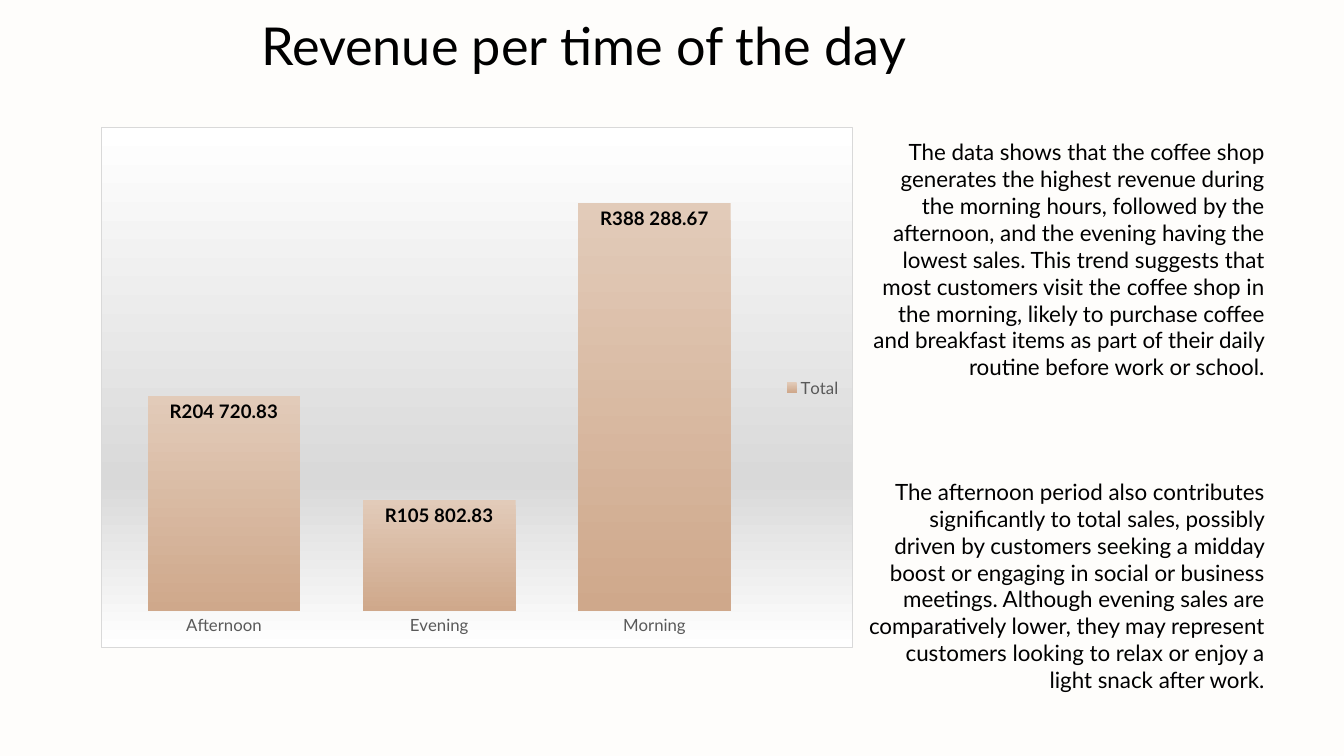
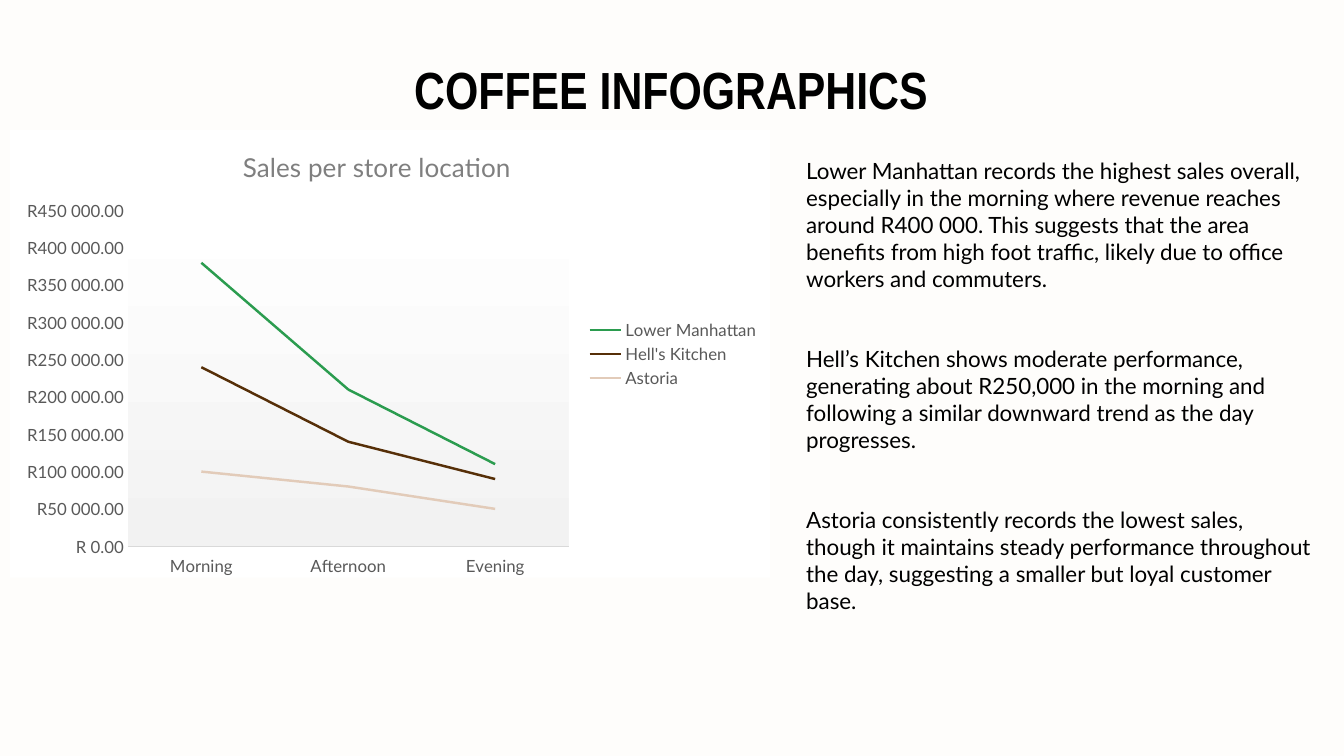
"""Build two coffee sales slides, each with a title, a chart and notes on it."""
from dataclasses import dataclass

from lxml import etree
from pptx import Presentation
from pptx.chart.chart import Chart
from pptx.chart.data import CategoryChartData
from pptx.dml.color import RGBColor
from pptx.enum.chart import (XL_CHART_TYPE, XL_LABEL_POSITION, XL_LEGEND_POSITION,
                             XL_MARKER_STYLE, XL_TICK_LABEL_POSITION, XL_TICK_MARK)
from pptx.enum.text import PP_ALIGN
from pptx.presentation import Presentation as Deck
from pptx.slide import Slide
from pptx.util import Pt

COLUMN, LINE = XL_CHART_TYPE.COLUMN_CLUSTERED, XL_CHART_TYPE.LINE_STACKED
LEFT, CENTER, RIGHT = PP_ALIGN.LEFT, PP_ALIGN.CENTER, PP_ALIGN.RIGHT
SIDE = XL_LEGEND_POSITION.RIGHT
INSIDE = XL_LABEL_POSITION.INSIDE_END
NO_TICK, NO_MARK = XL_TICK_MARK.NONE, XL_MARKER_STYLE.NONE
LOW = XL_TICK_LABEL_POSITION.LOW
C = "http://schemas.openxmlformats.org/drawingml/2006/chart"
A = "http://schemas.openxmlformats.org/drawingml/2006/main"
MONEY = '"R"#\\ ##0.00'


@dataclass(frozen=True)
class Theme:
    back: str = "FEFDFB"
    ink: str = "000000"
    gray: str = "595959"
    soft: str = "7F7F7F"
    rule: str = "D9D9D9"
    white: str = "FFFFFF"
    pale: str = "F2F2F2"
    cream: str = "E2CBB9"
    tan: str = "CFA88B"
    brown: str = "562F08"
    green: str = "2B9C4F"
    face: str = "Lato"
    narrow: str = "Arial Narrow"
    title: float = 37.3
    head: float = 18.6
    body: float = 16
    label: float = 13.3
    axis: float = 12


T = Theme()


@dataclass(frozen=True)
class Box:
    x: float
    y: float
    w: float
    h: float


@dataclass(frozen=True)
class Note:
    text: str
    box: Box
    align: PP_ALIGN = LEFT
    size: float = T.body
    face: str = T.face
    bold: bool = False
    pad: tuple[float, float] = (9.6, 9.6)
    gap: float = 0


@dataclass(frozen=True)
class Plot:
    kind: XL_CHART_TYPE
    box: Box
    inner: Box
    cats: tuple[str, ...]
    rows: dict[str, tuple[float, ...]]


def paint(font, size: float, color: str, bold: bool = False, face: str = T.face) -> None:
    font.size, font.bold, font.name = Pt(size), bold, face
    font.color.rgb = RGBColor.from_string(color)


def solid(color: str) -> str:
    return f'<a:solidFill><a:srgbClr val="{color}"/></a:solidFill>'


def fade(*stops: tuple[int, str]) -> str:
    marks = "".join(f'<a:gs pos="{at * 1000}"><a:srgbClr val="{color}"/></a:gs>'
                    for at, color in stops)
    return f'<a:gradFill><a:gsLst>{marks}</a:gsLst><a:lin ang="5400000" scaled="0"/></a:gradFill>'


def style(fill: str, edge: str = "") -> etree._Element:
    line = f'<a:ln w="9525">{solid(edge)}</a:ln>' if edge else "<a:ln><a:noFill/></a:ln>"
    return etree.fromstring(f'<c:spPr xmlns:c="{C}" xmlns:a="{A}">{fill}{line}</c:spPr>')


def place(x: float, y: float, w: float = 0, h: float = 0) -> etree._Element:
    inner = '<c:layoutTarget val="inner"/>' if w else ""
    modes = '<c:xMode val="edge"/><c:yMode val="edge"/>'
    sizes = f'<c:w val="{w}"/><c:h val="{h}"/>' if w else ""
    return etree.fromstring(
        f'<c:layout xmlns:c="{C}"><c:manualLayout>{inner}{modes}'
        f'<c:x val="{x}"/><c:y val="{y}"/>{sizes}</c:manualLayout></c:layout>')


def clear(node: etree._Element) -> None:
    for old in node.findall(f"{{{C}}}layout"):
        node.remove(old)


def add_note(slide: Slide, note: Note) -> None:
    b = note.box
    frame = slide.shapes.add_textbox(Pt(b.x), Pt(b.y), Pt(b.w), Pt(b.h)).text_frame
    frame.word_wrap = True
    frame.margin_left = frame.margin_right = Pt(note.pad[0])
    frame.margin_top = frame.margin_bottom = Pt(note.pad[1])
    frame.text = note.text
    for i, para in enumerate(frame.paragraphs):
        para.alignment = note.align
        if i:
            para.space_before = Pt(note.gap)
        for run in para.runs:
            paint(run.font, note.size, T.ink, note.bold, note.face)


def add_plot(slide: Slide, plot: Plot) -> Chart:
    data = CategoryChartData(number_format=MONEY)
    data.categories = plot.cats
    for name, vals in plot.rows.items():
        data.add_series(name, vals)
    b, p = plot.box, plot.inner
    chart = slide.shapes.add_chart(plot.kind, Pt(b.x), Pt(b.y), Pt(b.w), Pt(b.h), data).chart
    paint(chart.font, T.axis, T.gray)
    chart.has_title = False
    chart.has_legend = True
    chart.legend.position = SIDE
    chart.legend.include_in_layout = False
    paint(chart.legend.font, T.axis, T.gray)
    for axis in (chart.category_axis, chart.value_axis):
        axis.has_major_gridlines = False
        axis.major_tick_mark = axis.minor_tick_mark = NO_TICK
        axis.format.line.fill.background()
        paint(axis.tick_labels.font, T.axis, T.gray)
    scale = chart.value_axis
    scale.minimum_scale, scale.maximum_scale, scale.major_unit = 0, 450000, 50000
    scale.tick_labels.number_format = MONEY
    scale.tick_labels.number_format_is_linked = False
    area = chart._chartSpace.chart.plotArea
    clear(area)
    area.insert(0, place(p.x, p.y, p.w, p.h))
    return chart


def add_bars(slide: Slide, plot: Plot) -> None:
    chart = add_plot(slide, plot)
    chart.value_axis.visible = False
    bars = chart.plots[0]
    bars.gap_width, bars.vary_by_categories = 41, False
    total = bars.series[0]
    total._element.get_or_add_spPr().append(style(fade((0, T.cream), (100, T.tan)))[0])
    bars.has_data_labels = True
    labels = bars.data_labels
    labels.show_value, labels.position = True, INSIDE
    labels.number_format, labels.number_format_is_linked = MONEY, False
    paint(labels.font, T.label, T.ink, True)
    fill = fade((0, T.white), (68, T.rule), (100, T.white))
    chart._chartSpace.chart.addnext(style(fill, T.rule))


def add_lines(slide: Slide, plot: Plot, title: str) -> None:
    chart = add_plot(slide, plot)
    chart.has_title = True
    frame = chart.chart_title.text_frame
    frame.text = title
    paint(frame.paragraphs[0].runs[0].font, T.head, T.soft)
    head = chart.chart_title._element
    clear(head)
    head.find(f"{{{C}}}tx").addnext(place(0.3, 0.03))
    base = chart.category_axis
    base.tick_label_position = LOW
    base.format.line.width = Pt(0.75)
    base.format.line.color.rgb = RGBColor.from_string(T.rule)
    for row, color in zip(chart.plots[0].series, (T.cream, T.brown, T.green)):
        row.smooth = False
        row.marker.style = NO_MARK
        row.format.line.width = Pt(1.75)
        row.format.line.color.rgb = RGBColor.from_string(color)
    root = chart._chartSpace.chart
    root.plotArea.append(style(fade((0, T.white), (100, T.pale))))
    root.addnext(style(solid(T.white)))


def add_slide(deck: Deck, *notes: Note) -> Slide:
    slide = deck.slides.add_slide(deck.slide_layouts[6])
    slide.background.fill.solid()
    slide.background.fill.fore_color.rgb = RGBColor.from_string(T.back)
    for note in notes:
        add_note(slide, note)
    return slide


TIMES = (
    Note("Revenue per time of the day", Box(0, 0, 834, 60.5), CENTER, T.title),
    Note("The data shows that the coffee shop generates the highest revenue during the "
         "morning hours, followed by the afternoon, and the evening having the lowest sales. "
         "This trend suggests that most customers visit the coffee shop in the morning, likely "
         "to purchase coffee and breakfast items as part of their daily routine before work or "
         "school.", Box(609.8, 89.3, 303.1, 192), RIGHT),
    Note("The afternoon period also contributes significantly to total sales, possibly driven "
         "by customers seeking a midday boost or engaging in social or business meetings. "
         "Although evening sales are comparatively lower, they may represent customers looking "
         "to relax or enjoy a light snack after work.", Box(609.8, 331.9, 303.1, 173), RIGHT),
)
STORES = (
    Note("COFFEE INFOGRAPHICS", Box(32.4, 31, 894.2, 60.5), CENTER, T.title, T.narrow, True),
    Note("Lower Manhattan records the highest sales overall, especially in the morning where "
         "revenue reaches around R400 000. This suggests that the area benefits from high foot "
         "traffic, likely due to office workers and commuters.\n"
         "Hell’s Kitchen shows moderate performance, generating about R250,000 in the morning "
         "and following a similar downward trend as the day progresses.\n"
         "Astoria consistently records the lowest sales, though it maintains steady performance "
         "throughout the day, suggesting a smaller but loyal customer base.",
         Box(568.8, 108.7, 377.3, 337), pad=(7.2, 3.6), gap=38.4),
)
BARS = Plot(COLUMN, Box(72, 90.7, 537.1, 372.2), Box(0.02, 0.02, 0.86, 0.91),
            ("Afternoon", "Evening", "Morning"),
            {"Total": (204720.83, 105802.83, 388288.67)})
LINES = Plot(LINE, Box(7.2, 92.9, 542.9, 319.7), Box(0.155, 0.18, 0.58, 0.75),
             ("Morning", "Afternoon", "Evening"),
             {"Astoria": (100000, 80000, 50000),
              "Hell's Kitchen": (140000, 60000, 40000),
              "Lower Manhattan": (140000, 70000, 20000)})


def main() -> None:
    deck = Presentation()
    deck.slide_width, deck.slide_height = Pt(960), Pt(540)
    add_bars(add_slide(deck, *TIMES), BARS)
    add_lines(add_slide(deck, *STORES), LINES, "Sales per store location")
    deck.save("out.pptx")


if __name__ == "__main__":
    main()
